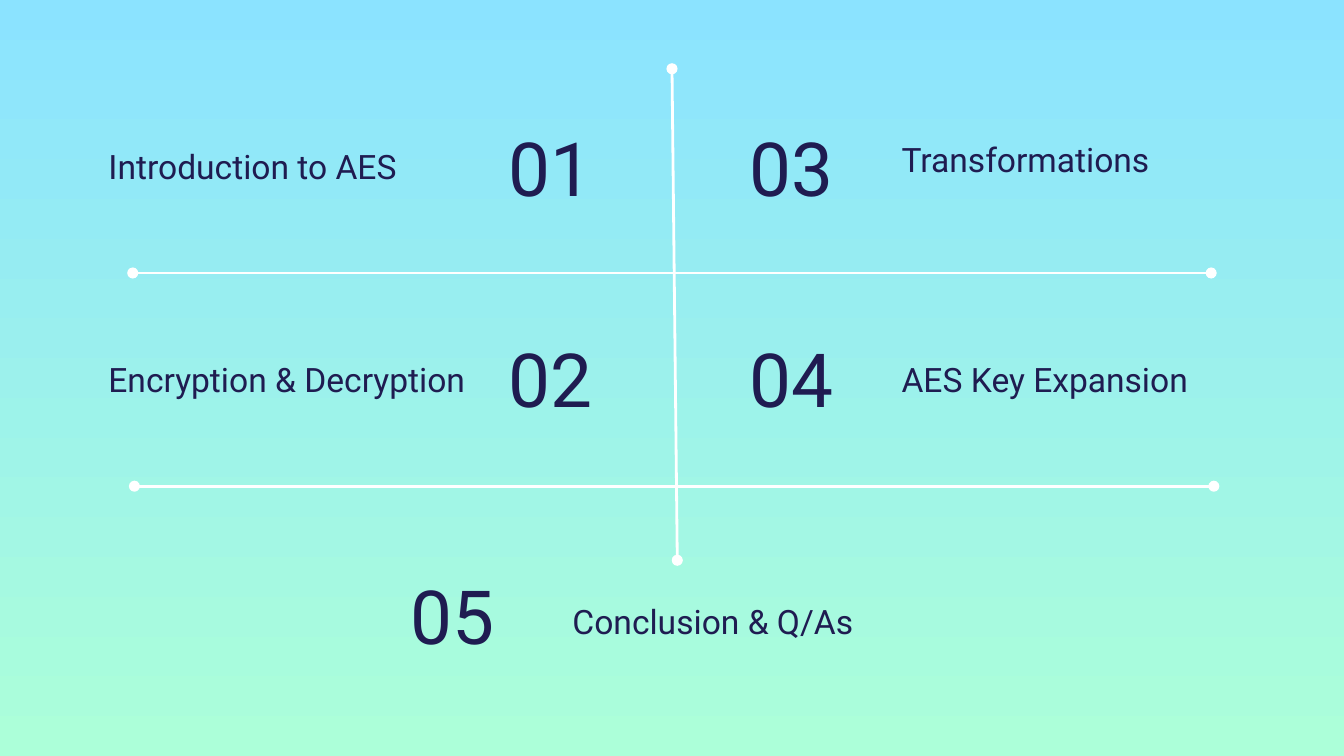
from lxml import etree
from pptx import Presentation
from pptx import util as u
from pptx.dml.color import RGBColor
from pptx.enum import shapes, text
from pptx.oxml import ns

COLORS = {"sky": "8BE3FF", "mint": "ACFFD9", "ink": "1F1C51", "rule": "FFFFFF"}
FONT = "Roboto"

# Positions and sizes in centimetres
NUMBER_SIZE = (3.3, 2.18)
TOPIC_SIZE = (7.57, 1.27)
LEFT, RIGHT = text.PP_ALIGN.LEFT, text.PP_ALIGN.RIGHT

# number, its left and top, its alignment, topic, its left and top
AGENDA = [
    ("01", 9.37, 2.06, LEFT, "Introduction to AES", 1.8, 2.51),
    ("02", 9.37, 6.05, LEFT, "Encryption & Decryption", 1.8, 6.53),
    ("03", 12.7, 2.06, RIGHT, "Transformations", 16.79, 2.36),
    ("04", 12.7, 6.05, RIGHT, "AES Key Expansion", 16.79, 6.53),
    ("05", 6.3, 10.52, RIGHT, "Conclusion & Q/As", 10.57, 11.1),
]

# Start and end of each divider
DIVIDERS = [
    (12.7, 1.3, 12.8, 10.59),
    (2.51, 5.16, 22.89, 5.16),
    (2.54, 9.19, 22.94, 9.19),
]


def color(name):
    return RGBColor.from_string(COLORS[name])


def paint_background(slide):
    fill = slide.background.fill
    fill.gradient()
    fill.gradient_angle = 270  # top to bottom
    for stop, name, position in zip(fill.gradient_stops, ("sky", "mint"), (0, 1)):
        stop.color.rgb = color(name)
        stop.position = position


def add_label(slide, wording, left, top, size, points, anchor, align=LEFT):
    label = slide.shapes.add_textbox(*map(u.Cm, (left, top, *size)))
    frame = label.text_frame
    frame.word_wrap = True
    frame.vertical_anchor = anchor
    frame.margin_left = frame.margin_right = u.Cm(0.25)
    frame.margin_top = frame.margin_bottom = u.Cm(0.25)
    frame.text = wording
    paragraph = frame.paragraphs[0]
    paragraph.alignment = align
    font = paragraph.runs[0].font
    font.name, font.size = FONT, u.Pt(points)
    font.color.rgb = color("ink")


def add_divider(slide, *ends):
    divider = slide.shapes.add_connector(
        shapes.MSO_CONNECTOR.STRAIGHT, *map(u.Cm, ends))
    divider.line.color.rgb = color("rule")
    divider.line.width = u.Pt(1.5)
    # Round dots at both ends, no shadow
    outline = divider.line._get_or_add_ln()
    for end in ("a:headEnd", "a:tailEnd"):
        etree.SubElement(outline, ns.qn(end), type="oval")
    etree.SubElement(divider._element.spPr, ns.qn("a:effectLst"))


def main():
    deck = Presentation()
    deck.slide_width, deck.slide_height = u.Cm(25.4), u.Cm(14.29)
    slide = deck.slides.add_slide(deck.slide_layouts[6])
    paint_background(slide)

    # Dividers between the agenda items
    for ends in DIVIDERS:
        add_divider(slide, *ends)

    # Agenda numbers and topics
    for number, num_left, num_top, align, topic, left, top in AGENDA:
        add_label(slide, number, num_left, num_top, NUMBER_SIZE, 40,
                  text.MSO_ANCHOR.MIDDLE, align)
        add_label(slide, topic, left, top, TOPIC_SIZE, 18,
                  text.MSO_ANCHOR.BOTTOM)

    deck.save("out.pptx")


if __name__ == "__main__":
    main()
